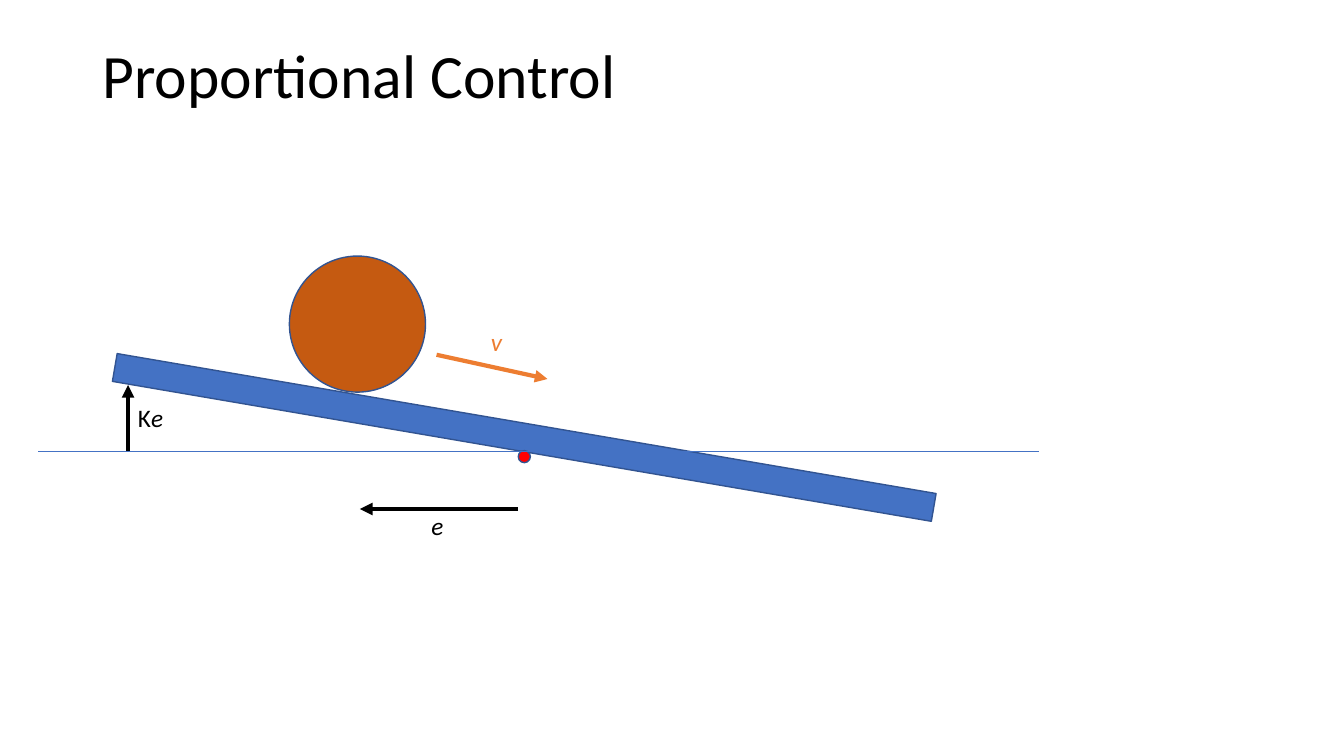
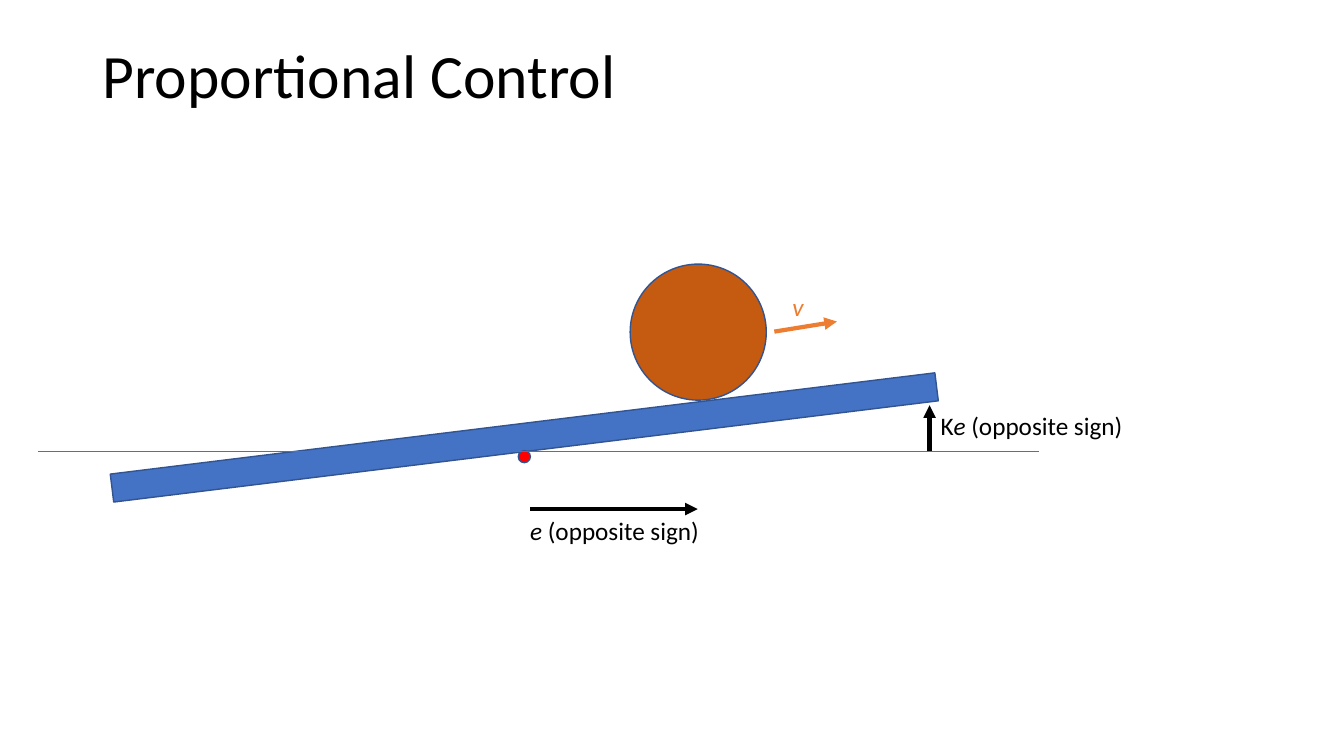
from pptx import Presentation
from pptx.dml.color import RGBColor as Rgb
from pptx.enum.shapes import MSO_CONNECTOR as Link, MSO_SHAPE as Kind
from pptx.enum.text import MSO_ANCHOR as Anchor
from pptx.oxml.ns import qn
from pptx.util import Inches as In, Pt
from lxml.etree import SubElement as Sub

INK = {"black": "000000", "beam": "4472C4", "edge": "325491",
       "ball": "C55A11", "pivot": "FF0000", "speed": "ED7D31"}
FONT = "Calibri"
TITLE = "Proportional Control"
BEAM = (1.08, 4.2, 8.24, 0.28)
PIVOT = (5.14, 4.47, 0.12, 0.12)
LEVEL = ((0.38, 4.48), (10.31, 4.48))
BALL = 1.35
SIGN = ("(opposite sign)", False)

SCENES = [
    {"tilt": 9.7, "ball": (2.87, 2.54),
     "arrows": [((5.14, 5.05), (3.57, 5.05), "black"),
                ((1.27, 4.47), (1.27, 3.82), "black"),
                ((4.33, 3.52), (5.43, 3.76), "speed")],
     "labels": [((4.18, 5.01, 1.17), [("e", True)], "black"),
                ((1.27, 3.94, 0.47), [("K", False), ("e", True)], "black"),
                ((4.77, 3.19, 0.31), [("v", True)], "speed")]},
    {"tilt": -7, "ball": (6.25, 2.62),
     "arrows": [((5.26, 5.05), (6.92, 5.05), "black"),
                ((9.22, 4.47), (9.22, 4.02), "black"),
                ((7.68, 3.29), (8.3, 3.19), "speed")],
     "labels": [((5.16, 5.06, 2.17), [("e ", True), SIGN], "black"),
                ((9.23, 4.02, 2.42), [("K", False), ("e ", True), SIGN], "black"),
                ((7.76, 2.84, 0.31), [("v", True)], "speed")]},
]


def color(name):
    return Rgb.from_string(INK[name])


def solid(slide, kind, box, fill, tilt=0):
    shape = slide.shapes.add_shape(kind, *map(In, box))
    shape.shadow.inherit = False
    shape.fill.solid()
    shape.fill.fore_color.rgb = color(fill)
    shape.line.color.rgb = color("edge")
    shape.line.width = Pt(1)
    shape.rotation = tilt


def line(slide, start, end, ink, width, tip=False):
    link = slide.shapes.add_connector(Link.STRAIGHT, *map(In, start + end))
    link.line.color.rgb = color(ink)
    link.line.width = Pt(width)
    if tip:
        Sub(link.line._get_or_add_ln(), qn("a:tailEnd"), type="triangle")
    Sub(link._element.spPr, qn("a:effectLst"))


def write(slide, box, parts, ink, size, wrap=True):
    frame = slide.shapes.add_textbox(*map(In, box)).text_frame
    frame.word_wrap = wrap
    frame.vertical_anchor = Anchor.TOP
    para = frame.paragraphs[0]
    for text, slant in parts:
        run = para.add_run()
        run.text = text
        run.font.name = FONT
        run.font.size = Pt(size)
        run.font.italic = slant
        run.font.color.rgb = color(ink)
    return para


def draw(slide, scene):
    title = write(slide, (0.92, 0.4, 11.5, 1.45), [(TITLE, False)], "black", 44)
    title.line_spacing = 0.9
    solid(slide, Kind.RECTANGLE, BEAM, "beam", scene["tilt"])
    solid(slide, Kind.OVAL, scene["ball"] + (BALL, BALL), "ball")
    solid(slide, Kind.OVAL, PIVOT, "pivot")
    for start, end, ink in scene["arrows"]:
        line(slide, start, end, ink, 3, tip=True)
    line(slide, *LEVEL, "beam", 0.5)
    for spot, parts, ink in scene["labels"]:
        write(slide, spot + (0.4,), parts, ink, 18, wrap=ink != "speed")


def main():
    deck = Presentation()
    deck.slide_width, deck.slide_height = In(13.33), In(7.5)
    for scene in SCENES:
        draw(deck.slides.add_slide(deck.slide_layouts[6]), scene)
    deck.save("out.pptx")


if __name__ == "__main__":
    main()
